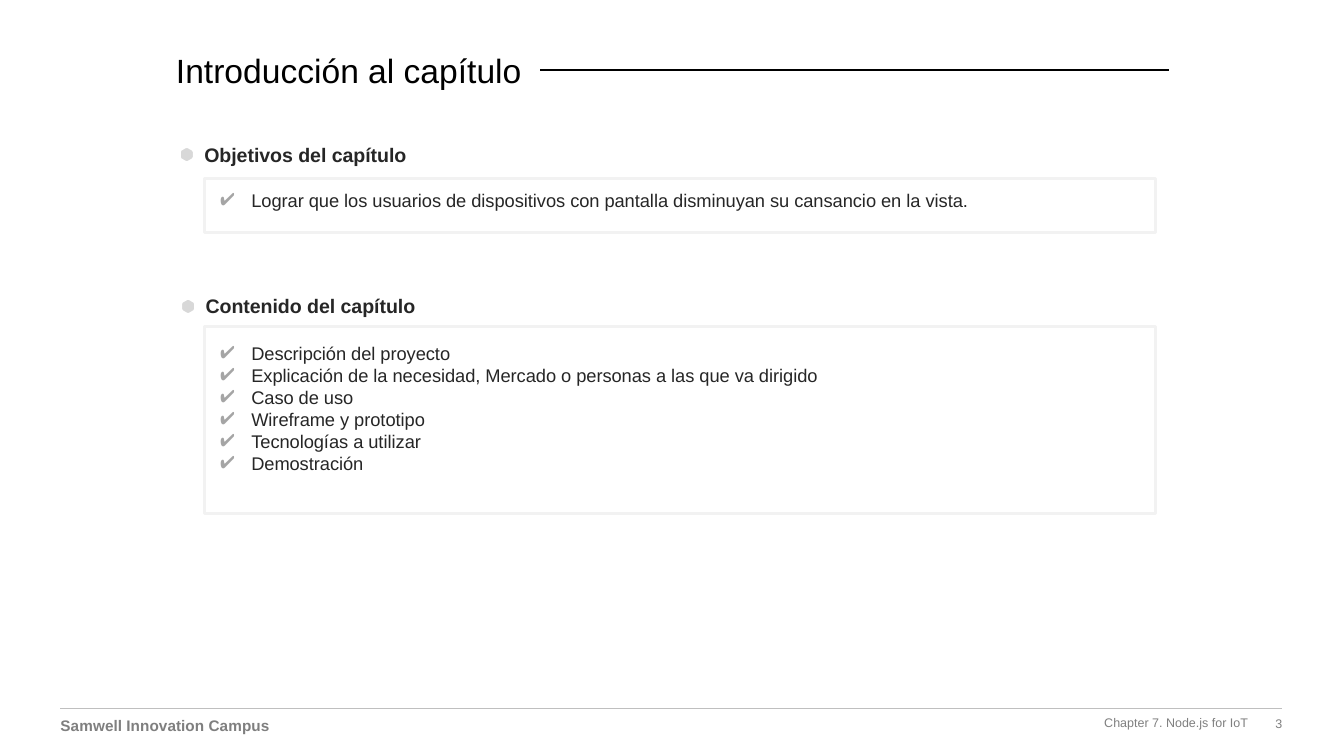
import math

import pptx
import pptx.dml.color
import pptx.enum.shapes
import pptx.enum.text
import pptx.oxml
import pptx.oxml.ns
import pptx.util

Inches = pptx.util.Inches
Pt = pptx.util.Pt
RGBColor = pptx.dml.color.RGBColor
Align = pptx.enum.text.PP_ALIGN
Anchor = pptx.enum.text.MSO_ANCHOR

BLACK = RGBColor(0x00, 0x00, 0x00)
WHITE = RGBColor(0xFF, 0xFF, 0xFF)
INK = RGBColor(0x26, 0x26, 0x26)
FOOTER = RGBColor(0x7F, 0x7F, 0x7F)
CHECK = RGBColor(0xA5, 0xA5, 0xA5)
RULE = RGBColor(0xBF, 0xBF, 0xBF)
HEXAGON = RGBColor(0xD8, 0xD8, 0xD8)
FRAME = RGBColor(0xF2, 0xF2, 0xF2)


class SlideWriter:
    """Holds the text style and the slide being filled."""

    font_name = "Arial"
    indent = Inches(0.23)

    def __init__(self, page):
        self.page = page

    def fill_text(self, shape, lines, size, color, bold=False, align=Align.LEFT,
                  anchor=Anchor.TOP, insets=(0, 0), check=False):
        frame = shape.text_frame
        side, top = (Inches(inset) for inset in insets)
        layout = {"word_wrap": True, "vertical_anchor": anchor,
                  "margin_left": side, "margin_right": side,
                  "margin_top": top, "margin_bottom": top}
        for name, value in layout.items():
            setattr(frame, name, value)
        style = {"name": self.font_name, "size": Pt(size), "bold": bold}
        for number, line in enumerate(lines):
            para = frame.add_paragraph() if number else frame.paragraphs[0]
            para.alignment = align
            if check:
                self.add_check(para)
            span = para.add_run()
            span.text = line
            for name, value in style.items():
                setattr(span.font, name, value)
            span.font.color.rgb = color

    def add_check(self, para):
        properties = para._p.get_or_add_pPr()
        properties.set("marL", str(self.indent))
        properties.set("indent", str(-self.indent))
        namespace = pptx.oxml.ns.nsdecls("a")
        for xml in (f'<a:buClr {namespace}><a:srgbClr val="{CHECK}"/></a:buClr>',
                    f'<a:buSzPct {namespace} val="120000"/>',
                    f'<a:buChar {namespace} char="✔"/>'):
            properties.append(pptx.oxml.parse_xml(xml))

    def text(self, place, line, size, color, **options):
        box = self.page.shapes.add_textbox(*map(Inches, place))
        self.fill_text(box, [line], size, color, **options)

    def rule(self, left, right, top, color, width):
        line = self.page.shapes.add_connector(
            pptx.enum.shapes.MSO_CONNECTOR.STRAIGHT,
            Inches(left), Inches(top), Inches(right), Inches(top))
        line.line.color.rgb = color
        line.line.width = Pt(width)
        line._element.spPr.append(pptx.oxml.parse_xml(
            f'<a:effectLst {pptx.oxml.ns.nsdecls("a")}/>'))

    def hexagon(self, center_x, center_y, radius=0.1, cut=0.2):
        corners = [(center_x + radius * math.sin(math.radians(angle)),
                    center_y - radius * math.cos(math.radians(angle)))
                   for angle in range(0, 360, 60)]
        points = []
        for start, end in zip(corners, corners[1:] + corners[:1]):
            for share in (cut, 1 - cut):
                points.append(tuple(Inches(a + (b - a) * share)
                                    for a, b in zip(start, end)))
        builder = self.page.shapes.build_freeform(*points[0])
        builder.add_line_segments(points[1:], close=True)
        shape = builder.convert_to_shape()
        shape.shadow.inherit = False
        shape.fill.solid()
        shape.fill.fore_color.rgb = HEXAGON
        shape.line.color.rgb = WHITE
        shape.line.width = Pt(6)

    def heading(self, left, top, line):
        self.text((left, top, 7.08, 0.18), line, 10.5, INK, bold=True)
        self.hexagon(left - 0.13, top + 0.09)

    def checklist(self, top, height, lines, inset):
        shape = self.page.shapes.add_shape(
            pptx.enum.shapes.MSO_SHAPE.RECTANGLE,
            *map(Inches, (1.52, top, 7.08, height)))
        shape.shadow.inherit = False
        shape.fill.background()
        shape.line.color.rgb = FRAME
        shape.line.width = Pt(1.5)
        self.fill_text(shape, lines, 9.75, INK, insets=(0.12, inset), check=True)


def main():
    deck = pptx.Presentation()
    deck.slide_width = Inches(10)
    deck.slide_height = Inches(10 * 9 / 16)
    writer = SlideWriter(deck.slides.add_slide(deck.slide_layouts[6]))

    # Footer
    writer.rule(0.45, 9.54, 5.27, RULE, 0.75)
    writer.text((0.45, 5.33, 2.92, 0.14), "Samwell Innovation Campus", 8.25, FOOTER,
                bold=True)
    for place, line in (((3.85, 5.32, 5.44, 0.11), "Chapter 7. Node.js for IoT"),
                        ((8.92, 5.33, 0.62, 0.11), "3")):
        writer.text(place, line, 6.75, FOOTER, align=Align.RIGHT, anchor=Anchor.MIDDLE)

    # Title
    writer.text((1.31, 0.37, 7.2, 0.3), "Introducción al capítulo", 18, BLACK)
    writer.rule(4.02, 8.7, 0.52, BLACK, 1)

    # Goals
    writer.heading(1.52, 1.06, "Objetivos del capítulo")
    writer.checklist(1.33, 0.4, [
        "Lograr que los usuarios de dispositivos con pantalla disminuyan "
        "su cansancio en la vista."], 0.08)

    # Contents
    writer.heading(1.53, 2.19, "Contenido del capítulo")
    writer.checklist(2.43, 1.39, [
        "Descripción del proyecto",
        "Explicación de la necesidad, Mercado o personas a las que va dirigido",
        "Caso de uso",
        "Wireframe y prototipo",
        "Tecnologías a utilizar",
        "Demostración"], 0.12)

    deck.save("out.pptx")


if __name__ == "__main__":
    main()
